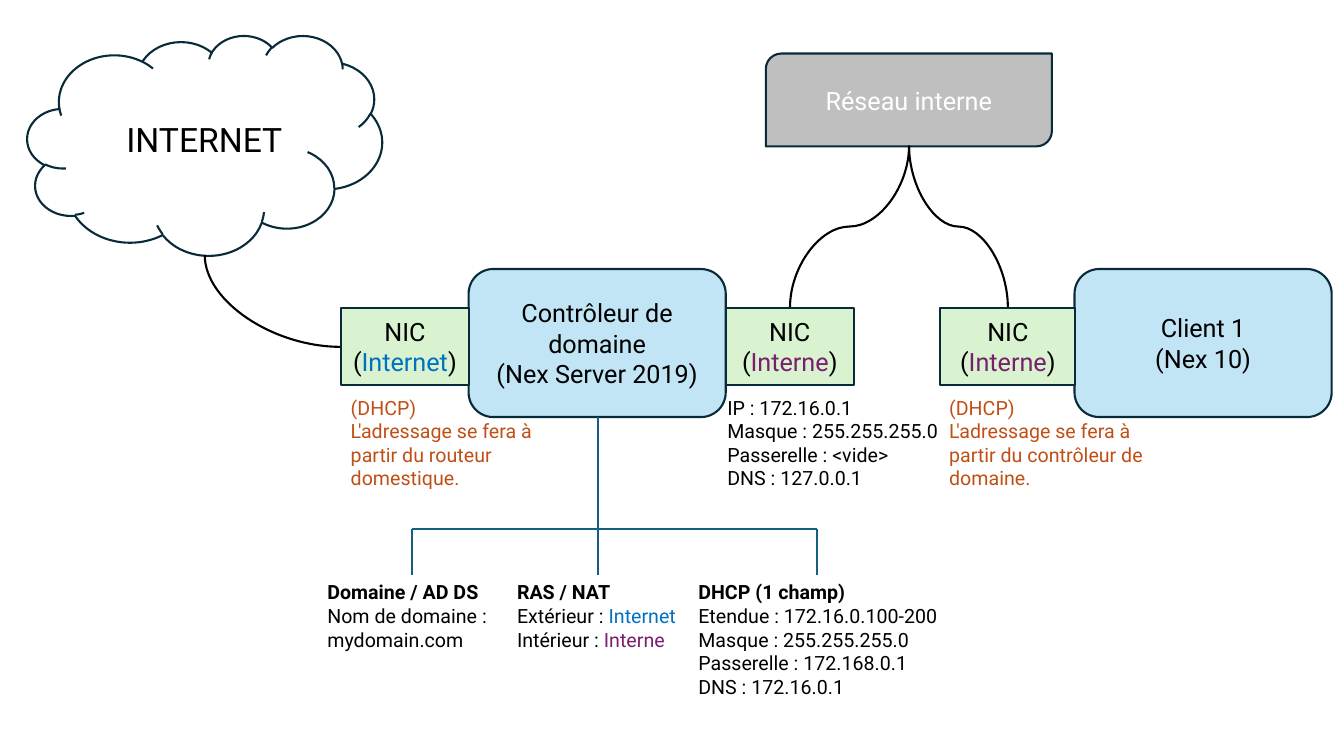
from dataclasses import dataclass
from math import cos, radians, sin

from lxml.etree import SubElement
from pptx import Presentation
from pptx.dml.color import RGBColor
from pptx.enum.shapes import MSO_CONNECTOR, MSO_SHAPE
from pptx.enum.text import MSO_ANCHOR, PP_ALIGN
from pptx.oxml.ns import qn
from pptx.util import Cm, Pt


@dataclass(frozen=True)
class Theme:
    font: str = "Roboto"
    black: str = "000000"
    white: str = "FFFFFF"
    edge: str = "092A39"
    tree: str = "156082"
    host: str = "C1E5F5"
    card: str = "D9F2D0"
    grey: str = "BFBFBF"
    blue: str = "0070C0"
    plum: str = "78206E"
    rust: str = "C04F15"
    large: int = 24
    body: int = 18
    small: int = 14
    line: float = 1.5


class Board:
    def __init__(self, slide, theme):
        self.slide = slide
        self.theme = theme

    def fill_text(self, frame, lines, size, color, align, bold=False):
        frame.word_wrap = True
        for index, line in enumerate(lines):
            para = frame.paragraphs[0] if index == 0 else frame.add_paragraph()
            para.alignment = align
            para.font.name = self.theme.font
            para.font.size = Pt(size)
            para.font.bold = bold and index == 0
            para.font.color.rgb = RGBColor.from_string(color)
            parts = [(line, None)] if isinstance(line, str) else line
            for text, tint in parts:
                run = para.add_run()
                run.text = text
                if tint:
                    run.font.color.rgb = RGBColor.from_string(tint)

    def shape(self, kind, box, fill=None, lines=(), color=None):
        item = self.slide.shapes.add_shape(kind, *map(Cm, box))
        item.shadow.inherit = False
        if fill:
            item.fill.solid()
            item.fill.fore_color.rgb = RGBColor.from_string(fill)
        else:
            item.fill.background()
        item.line.color.rgb = RGBColor.from_string(self.theme.edge)
        item.line.width = Pt(self.theme.line)
        item.text_frame.vertical_anchor = MSO_ANCHOR.MIDDLE
        self.fill_text(item.text_frame, lines, self.theme.body,
                       color or self.theme.black, PP_ALIGN.CENTER)

    def label(self, box, lines, size=None, color=None, align=PP_ALIGN.LEFT, bold=False):
        item = self.slide.shapes.add_textbox(*map(Cm, box))
        self.fill_text(item.text_frame, lines, size or self.theme.small,
                       color or self.theme.black, align, bold)

    def link(self, start, end, color, kind=MSO_CONNECTOR.STRAIGHT):
        item = self.slide.shapes.add_connector(kind, *map(Cm, start + end))
        item.line.color.rgb = RGBColor.from_string(color)
        item.line.width = Pt(self.theme.line)
        SubElement(item._element.spPr, qn("a:effectLst"))
        return item

    def curve(self, start, end, turn, preset="curvedConnector3"):
        mid = [(a + b) / 2 for a, b in zip(start, end)]
        dx, dy = [(b - a) / 2 for a, b in zip(start, end)]
        c, s = cos(radians(turn)), sin(radians(turn))
        x, y = dx * c + dy * s, dy * c - dx * s
        item = self.link((mid[0] - x, mid[1] - y), (mid[0] + x, mid[1] + y),
                         self.theme.black, MSO_CONNECTOR.CURVE)
        props = item._element.spPr
        props.find(qn("a:xfrm")).set("rot", str(turn * 60000))
        props.find(qn("a:prstGeom")).set("prst", preset)


def main():
    deck = Presentation()
    deck.slide_width, deck.slide_height = Cm(33.87), Cm(19.05)
    theme = Theme()
    board = Board(deck.slides.add_slide(deck.slide_layouts[6]), theme)
    outer = ("Internet", theme.blue)
    inner = ("Interne", theme.plum)

    hosts = [
        (11.81, ["Contrôleur de domaine", "(Nex Server 2019)"]),
        (27.08, ["Client 1", "(Nex 10)"]),
    ]
    for left, lines in hosts:
        board.shape(MSO_SHAPE.ROUNDED_RECTANGLE, (left, 6.78, 6.48, 3.73), theme.host, lines)

    board.shape(MSO_SHAPE.ROUND_2_DIAG_RECTANGLE, (19.3, 1.35, 7.21, 2.34),
                theme.grey, ["Réseau interne"], theme.white)
    board.shape(MSO_SHAPE.CLOUD, (0.69, 0.89, 8.94, 5.54))
    board.label((2.84, 2.87, 4.62, 1.27), ["INTERNET"], theme.large, align=PP_ALIGN.CENTER)

    hub = (22.91, 3.67)
    board.curve((19.91, 7.75), hub, 90)
    board.curve(hub, (25.4, 7.75), 270)
    board.curve((8.59, 8.74), (5.16, 6.43), 180, "curvedConnector2")

    for left, width, net in [(8.59, 3.23, outer), (23.7, 3.4, inner), (18.29, 3.23, inner)]:
        board.shape(MSO_SHAPE.RECTANGLE, (left, 7.77, width, 1.93), theme.card,
                    ["NIC", [("(", None), net, (")", None)]])

    notes = [
        (8.59, 5.54, theme.rust,
         ["(DHCP)", "L'adressage se fera à partir du routeur domestique."]),
        (23.67, 5.82, theme.rust,
         ["(DHCP)", "L'adressage se fera à partir du contrôleur de domaine."]),
        (18.08, 5.82, theme.black,
         ["IP : 172.16.0.1", "Masque : 255.255.255.0", "Passerelle : <vide>",
          "DNS : 127.0.0.1"]),
    ]
    for left, width, color, lines in notes:
        board.label((left, 9.84, width, 2.64), lines, color=color)

    roles = [
        (8, 4.78, ["Domaine / AD DS", "Nom de domaine : mydomain.com"]),
        (12.78, 4.57, ["RAS / NAT", [("Extérieur : ", None), outer],
                       [("Intérieur : ", None), inner]]),
        (17.35, 6.55, ["DHCP (1 champ)", "Etendue : 172.16.0.100-200",
                       "Masque : 255.255.255.0", "Passerelle : 172.168.0.1",
                       "DNS : 172.16.0.1"]),
    ]
    top = 14.5
    for left, width, lines in roles:
        board.label((left, top, width, 3.25), lines, bold=True)

    west, stem, east, bar = 10.39, 15.06, 20.6, 13.34
    board.link((stem, 10.52), (stem, top), theme.tree)
    board.link((west, bar), (east, bar), theme.tree)
    for x in (west, east):
        board.link((x, bar), (x, top), theme.tree)

    deck.save("out.pptx")


if __name__ == "__main__":
    main()
